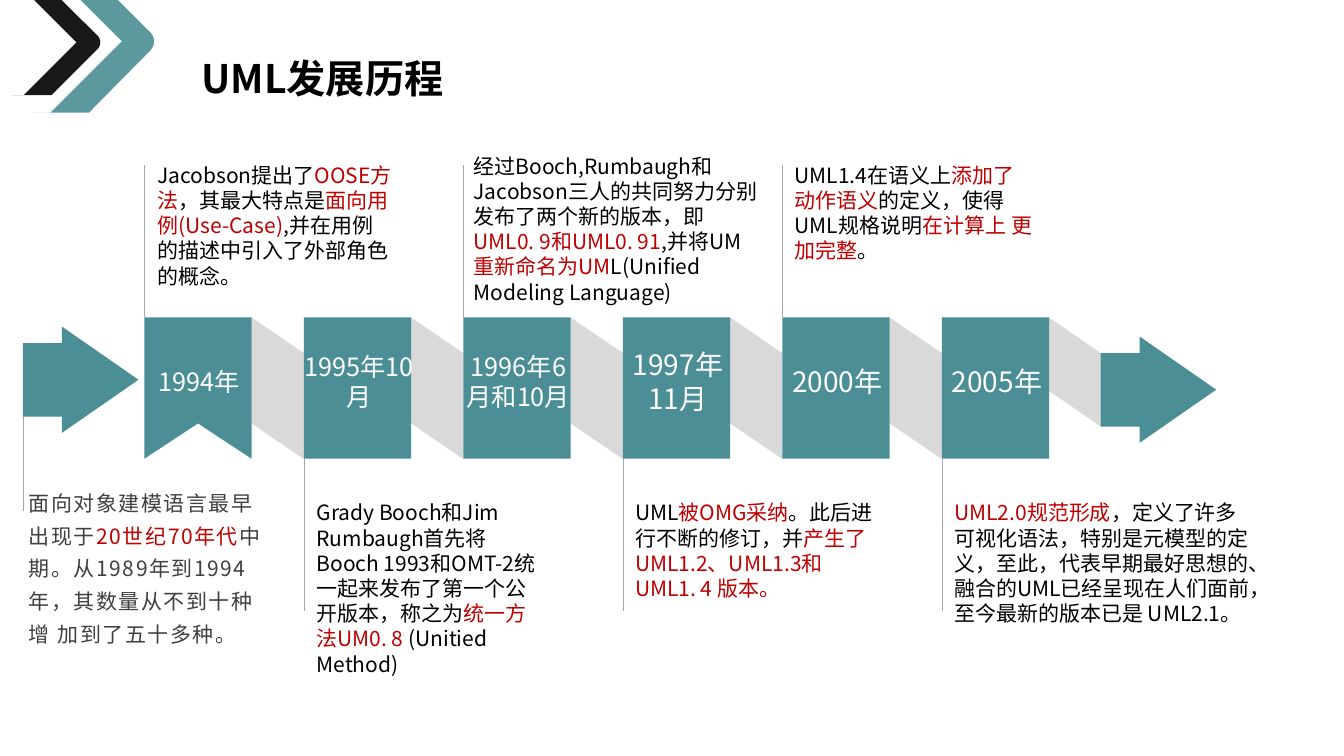
from dataclasses import dataclass
from typing import Any

import lxml.etree
import pptx
import pptx.dml.color
import pptx.enum.shapes
import pptx.enum.text
import pptx.oxml.ns
import pptx.util

Cm = pptx.util.Cm
Pt = pptx.util.Pt
Point = tuple[float, float]

FONT = "Noto Sans CJK SC"
TEAL, BAND, RULE = "4B8E95", "D9D9D9", "A6A6A6"
BLACK, RED, WHITE, GREY = "000000", "C00000", "FFFFFF", "404040"
FIRST, PITCH, WIDTH = 3.64, 4.02, 2.7
TOP, BOTTOM, LEADER = 8.0, 11.56, 3.84
END_ARROW = 27.74
ARROW = [(0, 0.42), (0.98, 0.42), (0.98, 0), (2.91, 1.34),
         (0.98, 2.68), (0.98, 2.27), (0, 2.27)]
NOTE_INSETS = {"margin_left": Cm(0.33), "margin_right": Cm(0.33),
               "margin_top": Cm(0.15), "margin_bottom": Cm(0.15)}
GROW = {"auto_size": pptx.enum.text.MSO_AUTO_SIZE.SHAPE_TO_FIT_TEXT}
MIDDLE = {"vertical_anchor": pptx.enum.text.MSO_ANCHOR.MIDDLE}
CENTER = {"alignment": pptx.enum.text.PP_ALIGN.CENTER}


@dataclass
class Box:
    left: float
    top: float
    width: float
    height: float


@dataclass
class Milestone:
    date: str
    size: int
    note: str
    box: Box


MILESTONES = [
    Milestone("1994年", 18,
              "Jacobson提出了|OOSE方法|，其最大特点是|面向用例(Use-Case)|"
              ",并在用例 的描述中引入了外部角色的概念。",
              Box(3.64, 3.94, 6.71, 3.28)),
    Milestone("1995年10月", 18,
              "Grady Booch和Jim Rumbaugh首先将 Booch 1993和OMT-2统一起来"
              "发布了第一个公开版本，称之为|统一方法UM0. 8| (Unitied Method)",
              Box(7.65, 12.45, 6.22, 4.98)),
    Milestone("1996年6月和10月", 18,
              "经过Booch,Rumbaugh和Jacobson三人的共同努力分别发布了两个新的版本，即"
              "|UML0. 9和UML0. 91|,并将UM|重新命名为UM|L(Unified Modeling Language)",
              Box(11.61, 3.71, 7.8, 4.52)),
    Milestone("1997年11月", 20,
              "UML|被OMG采纳|。此后进行不断的修订，并|"
              "产生了UML1.2、UML1.3和UML1. 4 版本。",
              Box(15.68, 12.45, 6.71, 3.28)),
    Milestone("2000年", 20,
              "UML1.4在语义上|添加了动作语义|的定义，使得UML规格说明|"
              "在计算上 更加完整|。",
              Box(19.7, 3.94, 6.71, 3.28)),
    Milestone("2005年", 20,
              "|UML2.0规范形成|，定义了许多可视化语法，特别是元模型的定义，至此，"
              "代表早期最好思想的、融合的UML已经呈现在人们面前，至今最新的版本已是 UML2.1。",
              Box(23.72, 12.45, 8.31, 3.28)),
]
INTRO = ("面向对象建模语言最早出现于|20世纪70年代|"
         "中期。从1989年到1994年，其数量从不到十种增 加到了五十多种。")


def color(value: str) -> pptx.dml.color.RGBColor:
    return pptx.dml.color.RGBColor.from_string(value)


def apply(target: Any, formats: dict[str, Any]) -> None:
    for name, value in formats.items():
        setattr(target, name, value)


def paint(shape: Any, fill: str, alpha: int = 100) -> None:
    shape.shadow.inherit = False
    shape.fill.solid()
    shape.fill.fore_color.rgb = color(fill)
    shape.line.fill.background()
    if alpha < 100:
        tone = shape.fill._xPr.find(".//" + pptx.oxml.ns.qn("a:srgbClr"))
        lxml.etree.SubElement(tone, pptx.oxml.ns.qn("a:alpha"), val=str(alpha * 1000))


def polygon(page: Any, points: list[Point], fill: str, alpha: int = 100) -> None:
    corners = [(Cm(x), Cm(y)) for x, y in points]
    builder = page.shapes.build_freeform(*corners[0], scale=1.0)
    builder.add_line_segments(corners[1:], close=True)
    paint(builder.convert_to_shape(), fill, alpha)


def arrow(page: Any, left: float, top: float) -> None:
    polygon(page, [(left + x, top + y) for x, y in ARROW], TEAL)


def curve(start: Point, pull: Point, release: Point, end: Point) -> list[Point]:
    steps = [step / 8 for step in range(9)]
    return [tuple((1 - t) ** 3 * a + 3 * (1 - t) ** 2 * t * b
                  + 3 * (1 - t) * t ** 2 * c + t ** 3 * d
                  for a, b, c, d in zip(start, pull, release, end))
            for t in steps]


def leader(page: Any, x: float, top: float) -> None:
    line = page.shapes.add_connector(pptx.enum.shapes.MSO_CONNECTOR.STRAIGHT,
                                     Cm(x), Cm(top), Cm(x), Cm(top + LEADER))
    line.line.color.rgb = color(RULE)
    line.line.width = Pt(0.5)
    lxml.etree.SubElement(line._element.spPr, pptx.oxml.ns.qn("a:effectLst"))


def write(page: Any, box: Box, text: str, size: int, ink: str,
          frame_formats: dict[str, Any], para_formats: dict[str, Any],
          bold: bool = False, spacing: int = 0) -> None:
    frame = page.shapes.add_textbox(Cm(box.left), Cm(box.top),
                                    Cm(box.width), Cm(box.height)).text_frame
    apply(frame, {"word_wrap": True} | frame_formats)
    para = frame.paragraphs[0]
    apply(para, para_formats)
    for index, part in enumerate(text.split("|")):
        if not part:
            continue
        span = para.add_run()
        span.text = part
        apply(span.font, {"name": FONT, "size": Pt(size), "bold": bold})
        span.font.color.rgb = color(RED if index % 2 else ink)
        properties = span._r.get_or_add_rPr()
        lxml.etree.SubElement(properties, pptx.oxml.ns.qn("a:ea"), typeface=FONT)
        if spacing:
            properties.set("spc", str(spacing))


def draw_bands(page: Any) -> None:
    for index in range(len(MILESTONES)):
        start = FIRST + PITCH * index + WIDTH
        last = index == len(MILESTONES) - 1
        end = END_ARROW if last else start + PITCH - WIDTH
        height = 1.85 if last else 2.67
        polygon(page, [(start, TOP), (end, TOP + 0.9), (end, TOP + 0.9 + height),
                       (start, TOP + height)], BAND)


def draw_milestone(page: Any, index: int, item: Milestone) -> None:
    left = FIRST + PITCH * index
    if index == 0:
        right = left + WIDTH
        polygon(page, [(left, TOP), (right, TOP), (right, BOTTOM),
                       (left + WIDTH / 2, BOTTOM - 0.89), (left, BOTTOM)], TEAL)
    else:
        paint(page.shapes.add_shape(pptx.enum.shapes.MSO_SHAPE.RECTANGLE, Cm(left),
                                    Cm(TOP), Cm(WIDTH), Cm(BOTTOM - TOP)), TEAL)
    write(page, Box(left - 0.29, 8.43, 3.35, 2.36), item.date, item.size, WHITE,
          MIDDLE, CENTER)
    leader(page, left, BOTTOM if index % 2 else TOP - LEADER)
    write(page, item.box, item.note, 15, BLACK, NOTE_INSETS, {"space_before": Pt(3)})


def draw_chevrons(page: Any) -> None:
    teal_tip = curve((3.78, 1.28), (3.92, 1.14), (3.92, 0.94), (3.78, 0.81))
    black_tip = curve((2.46, 1.24), (2.55, 1.14), (2.55, 0.99), (2.46, 0.9))
    polygon(page, [(0.86, 2.84), (2.24, 2.84), *teal_tip, (2.97, 0), (2.03, 0),
                   (3.07, 1.04), (1.27, 2.84)], TEAL, 90)
    polygon(page, [(0.3, 2.4), (1.3, 2.4), *black_tip, (1.55, 0), (0.86, 0),
                   (1.93, 1.07), (0.6, 2.4)], BLACK, 90)


def main() -> None:
    deck = pptx.Presentation()
    apply(deck, {"slide_width": Cm(33.87), "slide_height": Cm(19.05)})
    page = deck.slides.add_slide(deck.slide_layouts[6])
    draw_bands(page)
    arrow(page, END_ARROW, 8.48)
    for index, item in enumerate(MILESTONES):
        draw_milestone(page, index, item)
    write(page, Box(4.83, 1.24, 6.6, 1.45), "UML发展历程", 28, BLACK, GROW, {}, bold=True)
    draw_chevrons(page)
    write(page, Box(0.48, 12.04, 6.38, 5.26), INTRO, 15, GREY, GROW,
          {"line_spacing": 1.3, "space_before": Pt(7.1)}, spacing=110)
    leader(page, 0.58, 9.04)
    arrow(page, 0.58, 8.23)
    deck.save("out.pptx")


if __name__ == "__main__":
    main()
